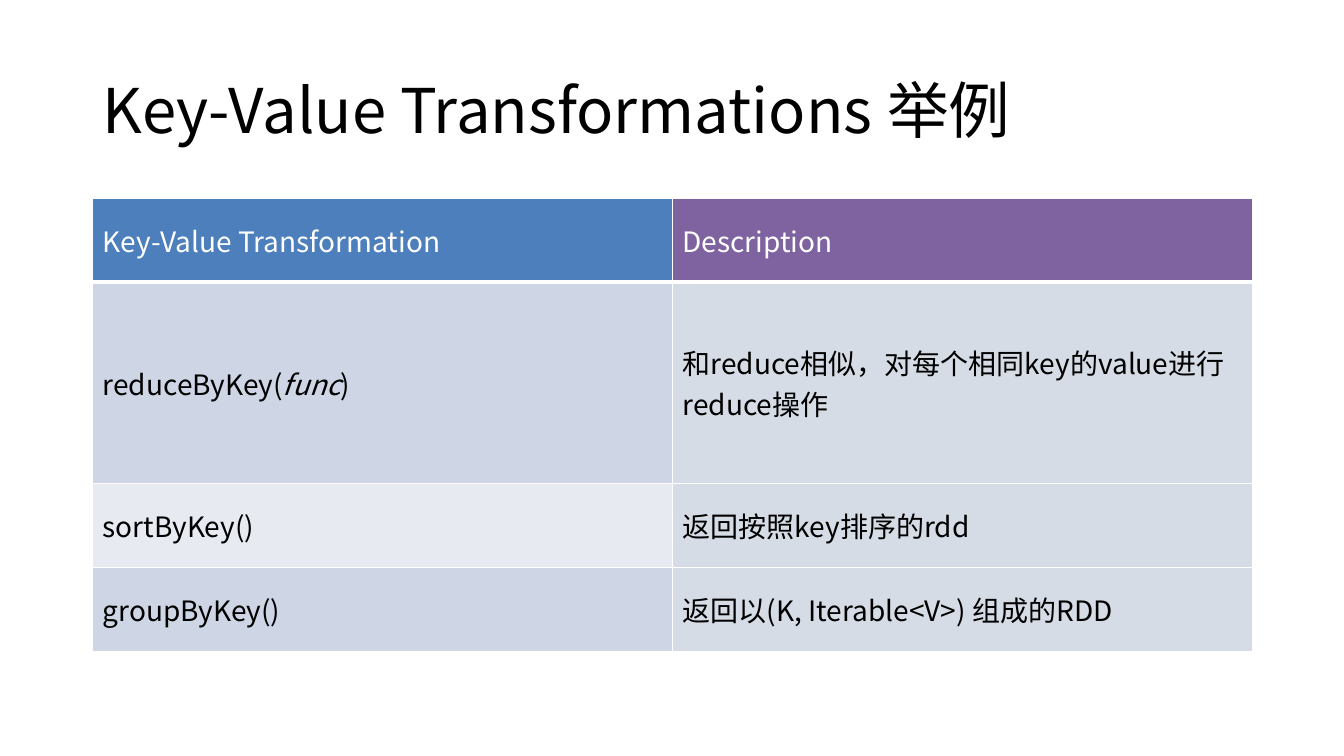
from lxml import etree
from pptx import Presentation
from pptx.dml.color import RGBColor
from pptx.enum.text import MSO_ANCHOR, PP_ALIGN
from pptx.oxml.ns import qn
from pptx.util import Inches, Pt

MIDDLE = MSO_ANCHOR.MIDDLE
LEFT = PP_ALIGN.LEFT
FONT = "Noto Sans CJK SC"
BLACK = RGBColor(0x00, 0x00, 0x00)
WHITE = RGBColor(0xFF, 0xFF, 0xFF)
BLUE = RGBColor(0x4C, 0x7F, 0xBC)
PURPLE = RGBColor(0x7F, 0x63, 0xA0)
BAND_DARK = RGBColor(0xCE, 0xD6, 0xE5)
BAND_LIGHT = RGBColor(0xE8, 0xEA, 0xF2)
GREY = RGBColor(0xD6, 0xDC, 0xE5)

ROWS = [
    ("Key-Value Transformation", "Description"),
    ("reduceByKey(*func*)", "和reduce相似，对每个相同key的value进行reduce操作"),
    ("sortByKey()", "返回按照key排序的rdd"),
    ("groupByKey()", "返回以(K, Iterable<V>) 组成的RDD"),
]
FILLS = [(BLUE, PURPLE), (BAND_DARK, GREY), (BAND_LIGHT, GREY), (BAND_DARK, GREY)]
ROW_HEIGHTS = [0.83, 2, 0.83, 0.83]


def write(tf, text, size, color):
    p = tf.paragraphs[0]
    p.alignment = LEFT
    for i, part in enumerate(text.split("*")):
        r = p.add_run()
        r.text = part
        r.font.color.rgb = color
        style = {"name": FONT, "size": Pt(size), "bold": False, "italic": i % 2 == 1}
        for name, value in style.items():
            setattr(r.font, name, value)
        ea = etree.Element(qn("a:ea"), typeface=FONT)
        r.font._element.find(qn("a:latin")).addnext(ea)
    return p


def add_title(s, text):
    sp = s.shapes.title
    box = {"left": 0.92, "top": 0.4, "width": 11.5, "height": 1.45}
    for name, value in box.items():
        setattr(sp, name, Inches(value))
    sp.text_frame.vertical_anchor = MIDDLE
    sp.text_frame.word_wrap = True
    write(sp.text_frame, text, 44, BLACK).line_spacing = 0.9


def add_border(cell, side, width):
    tc_pr = cell._tc.get_or_add_tcPr()
    ln = etree.SubElement(tc_pr, qn(f"a:ln{side}"), w=str(Pt(width)))
    fill = etree.SubElement(ln, qn("a:solidFill"))
    etree.SubElement(fill, qn("a:srgbClr"), val=str(WHITE))


def format_cell(cell, text, row, fill):
    widths = {"L": 1, "R": 1, "T": 3 if row == 1 else 1, "B": 3 if row == 0 else 1}
    for side, width in widths.items():
        add_border(cell, side, width)
    cell.fill.solid()
    cell.fill.fore_color.rgb = fill
    cell.vertical_anchor = MIDDLE
    write(cell.text_frame, text, 20, BLACK if row else WHITE)


def add_grid(s):
    table = s.shapes.add_table(
        len(ROWS), 2, Inches(0.92), Inches(1.97), Inches(11.5), Inches(sum(ROW_HEIGHTS))
    ).table
    for row, (texts, fills) in enumerate(zip(ROWS, FILLS)):
        table.rows[row].height = Inches(ROW_HEIGHTS[row])
        for col, (text, fill) in enumerate(zip(texts, fills)):
            format_cell(table.cell(row, col), text, row, fill)


def main():
    prs = Presentation()
    prs.slide_width = Inches(13.33)
    prs.slide_height = Inches(7.5)
    s = prs.slides.add_slide(prs.slide_layouts[5])
    add_title(s, "Key-Value Transformations 举例")
    add_grid(s)
    prs.save("out.pptx")


if __name__ == "__main__":
    main()
